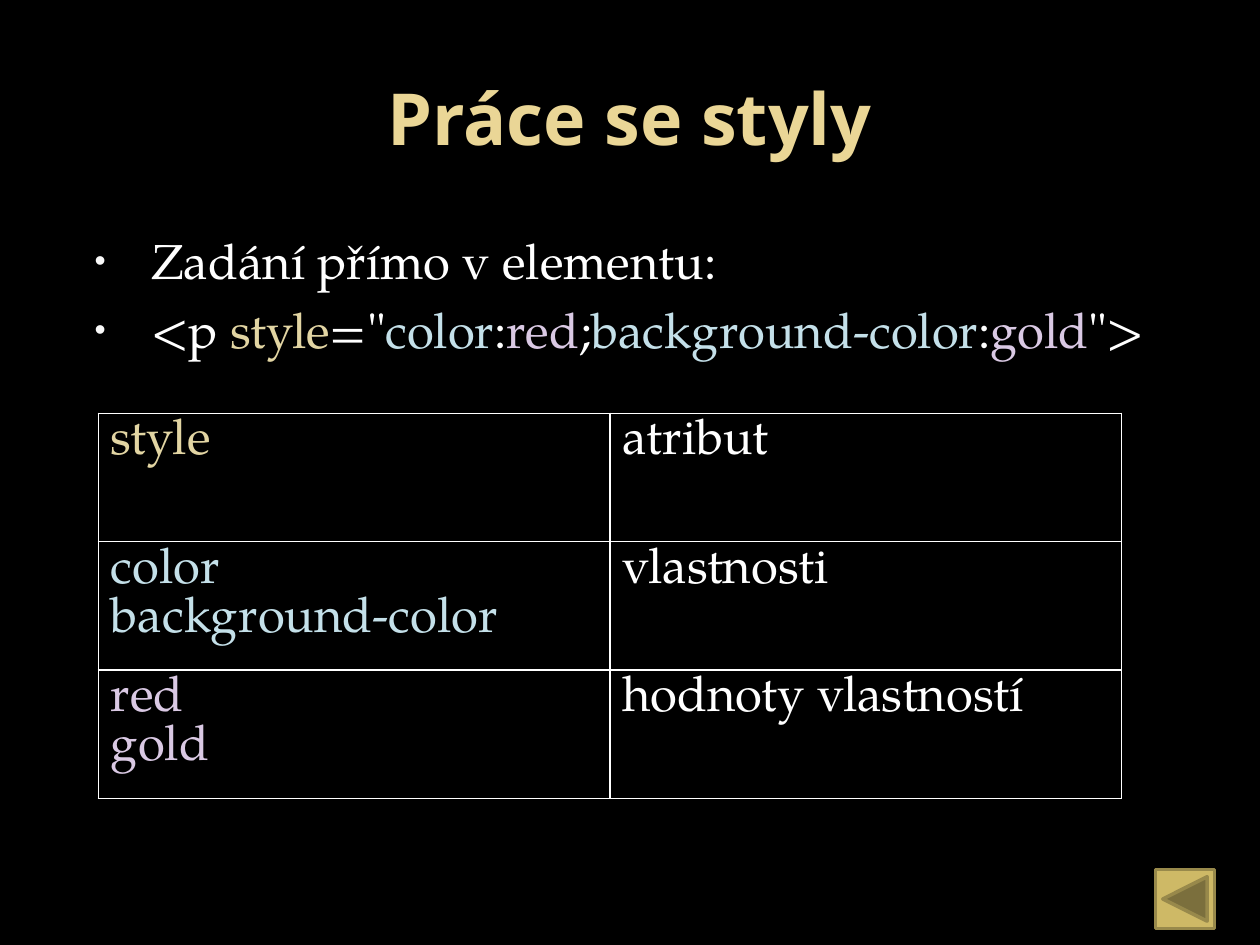
from lxml import etree
from pptx import Presentation
from pptx.dml.color import RGBColor
from pptx.enum.shapes import MSO_SHAPE as Preset
from pptx.enum.text import MSO_ANCHOR as Anchor, MSO_AUTO_SIZE as AutoSize, PP_ALIGN as Align
from pptx.oxml import parse_xml
from pptx.oxml.ns import nsdecls, qn
from pptx.util import Inches, Pt

BLACK = RGBColor(0x00, 0x00, 0x00)
WHITE = RGBColor(0xFF, 0xFF, 0xFF)
TITLE_GOLD = RGBColor(0xEA, 0xD6, 0x96)
ATTRIBUTE = RGBColor(0xE2, 0xD5, 0xA3)
PROPERTY = RGBColor(0xC4, 0xE0, 0xE9)
VALUE = RGBColor(0xDA, 0xC9, 0xE4)
BUTTON_FILL = RGBColor(0xCE, 0xB9, 0x66)
BUTTON_LINE = RGBColor(0x98, 0x89, 0x4B)
HEADING_FONT, BODY_FONT = "Open Sans", "TeX Gyre Pagella"

# Content
TITLE = "Práce se styly"
BULLETS = [
    [("Zadání přímo v elementu:", WHITE)],
    [("<p ", WHITE), ("style", ATTRIBUTE), ('="', WHITE), ("color", PROPERTY),
     (":", WHITE), ("red", VALUE), (";", WHITE), ("background-color", PROPERTY),
     (":", WHITE), ("gold", VALUE), ('">', WHITE)],
]
TABLE_ROWS = [
    (["style"], ATTRIBUTE, "atribut"),
    (["color", "background-color"], PROPERTY, "vlastnosti"),
    (["red", "gold"], VALUE, "hodnoty vlastností"),
]
COLUMN_WIDTH, ROW_HEIGHT = Inches(4.06), Inches(1.02)


def place(shape, left, top, width, height):
    box = dict(left=left, top=top, width=width, height=height)
    for name, value in box.items():
        setattr(shape, name, Inches(value))


def add_run(paragraph, text, color, font=BODY_FONT, size=28, bold=False):
    run = paragraph.add_run()
    run.text = text
    for name, value in dict(name=font, size=Pt(size), bold=bold).items():
        setattr(run.font, name, value)
    run.font.color.rgb = color


def format_paragraph(paragraph, **values):
    for name, value in values.items():
        setattr(paragraph, name, value)


def fill_lines(text_frame, lines, **values):
    for index, runs in enumerate(lines):
        paragraph = text_frame.paragraphs[0] if index == 0 else text_frame.add_paragraph()
        format_paragraph(paragraph, **values)
        for text, color in runs:
            add_run(paragraph, text, color)


def add_bullet(paragraph):
    properties = paragraph._p.get_or_add_pPr()
    properties.set("marL", str(Inches(0.6)))
    properties.set("indent", str(Inches(-0.45)))
    color = etree.SubElement(properties, qn("a:buClr"))
    etree.SubElement(color, qn("a:srgbClr"), val="F9F9F9")
    etree.SubElement(properties, qn("a:buSzPct"), val="65000")
    etree.SubElement(properties, qn("a:buFont"), typeface="Arial")
    etree.SubElement(properties, qn("a:buChar"), char="•")


def add_borders(cell):
    properties = cell._tc.get_or_add_tcPr()
    for index, side in enumerate(("lnL", "lnR", "lnT", "lnB")):
        properties.insert(index, parse_xml(
            f'<a:{side} {nsdecls("a")} w="{Pt(1)}"><a:solidFill>'
            f'<a:srgbClr val="{WHITE}"/></a:solidFill></a:{side}>'))


presentation = Presentation()
presentation.slide_width, presentation.slide_height = Inches(10), Inches(7.5)
slide = presentation.slides.add_slide(presentation.slide_layouts[1])
slide.background.fill.solid()
slide.background.fill.fore_color.rgb = BLACK

# Title
title = slide.shapes.title
place(title, 0.5, 0.3, 9, 1.25)
title.text_frame.vertical_anchor = Anchor.MIDDLE
title.text_frame.auto_size = AutoSize.NONE
heading = title.text_frame.paragraphs[0]
heading.alignment = Align.CENTER
add_run(heading, TITLE, TITLE_GOLD, HEADING_FONT, 41, True)

# Bulleted text
body = slide.placeholders[1]
place(body, 0.5, 1.75, 9, 1.53)
body.text_frame.auto_size = AutoSize.NONE
fill_lines(body.text_frame, BULLETS,
           line_spacing=Pt(36), space_before=Pt(0), space_after=Pt(3.4))
for paragraph in body.text_frame.paragraphs:
    add_bullet(paragraph)

# Table of terms
table = slide.shapes.add_table(len(TABLE_ROWS), 2, Inches(0.78), Inches(3.28),
                               COLUMN_WIDTH * 2, ROW_HEIGHT * len(TABLE_ROWS)).table
table.first_row = table.horz_banding = False
for column in table.columns:
    column.width = COLUMN_WIDTH
for row, (terms, color, meaning) in zip(table.rows, TABLE_ROWS):
    row.height = ROW_HEIGHT
    columns = ([[(term, color)] for term in terms], [[(meaning, WHITE)]])
    for cell, lines in zip(row.cells, columns):
        cell.fill.background()
        add_borders(cell)
        fill_lines(cell.text_frame, lines, line_spacing=Pt(28))

# Back button
button = slide.shapes.add_shape(Preset.ACTION_BUTTON_BACK_OR_PREVIOUS, Inches(9.17),
                                Inches(6.9), Inches(0.47), Inches(0.47))
button.shadow.inherit = False
button.fill.solid()
button.fill.fore_color.rgb = BUTTON_FILL
button.line.color.rgb = BUTTON_LINE
button.line.width = Pt(2)

presentation.save("out.pptx")
